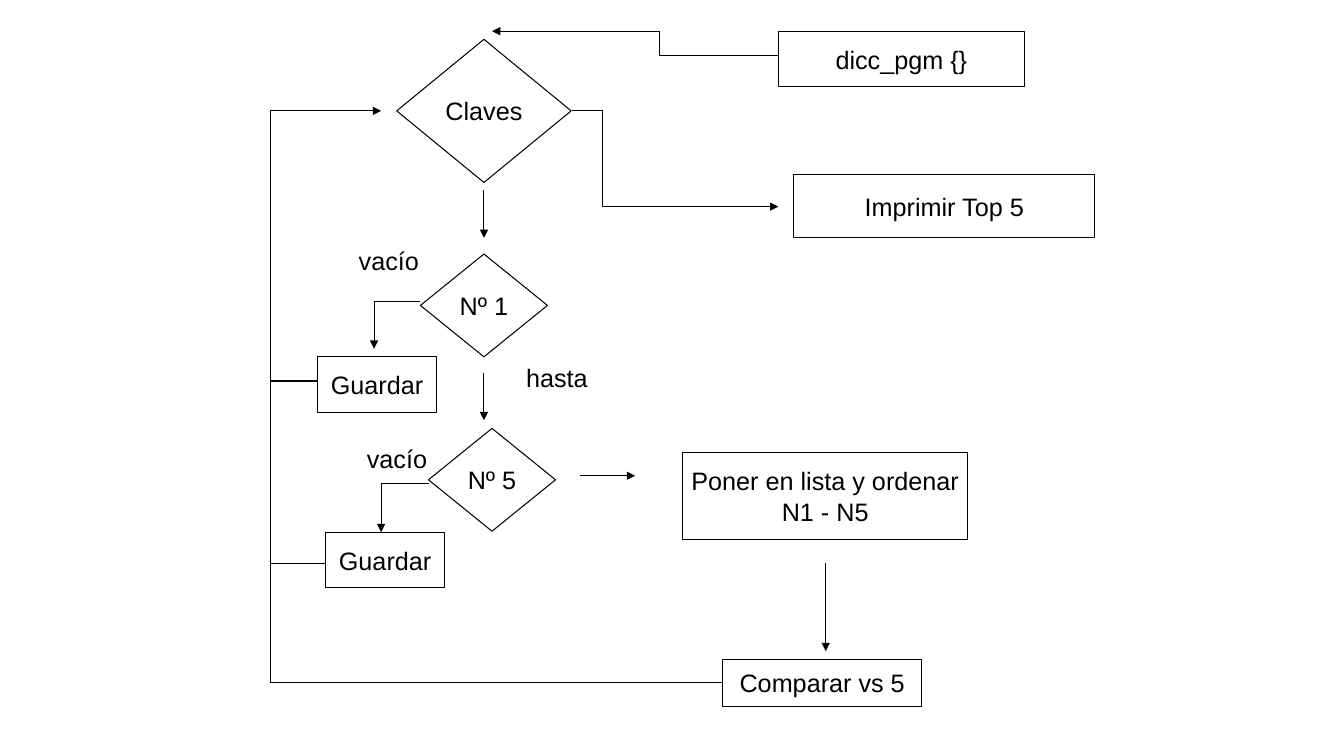
from itertools import pairwise

from lxml.etree import SubElement
from pptx import Presentation
from pptx.dml.color import RGBColor
from pptx.enum.shapes import MSO_CONNECTOR, MSO_SHAPE
from pptx.enum.text import MSO_ANCHOR, PP_ALIGN
from pptx.oxml.ns import qn
from pptx.util import Inches, Pt

BLACK = RGBColor(0, 0, 0)
WHITE = RGBColor(255, 255, 255)


class Flowchart:
    font_name = "Arial"
    font_size = Pt(18)
    line_width = Pt(0.75)

    def __init__(self, slide):
        self.slide = slide

    def add_text(self, frame, lines, alignment):
        for index, line in enumerate(lines):
            paragraph = frame.add_paragraph() if index else frame.paragraphs[0]
            paragraph.alignment = alignment
            run = paragraph.add_run()
            run.text = line
            run.font.name = self.font_name
            run.font.size = self.font_size
            run.font.color.rgb = BLACK

    def node(self, preset, left, top, width, height, lines):
        shape = self.slide.shapes.add_shape(
            preset, Inches(left), Inches(top), Inches(width), Inches(height))
        shape.shadow.inherit = False
        shape.fill.solid()
        shape.fill.fore_color.rgb = WHITE
        shape.line.color.rgb = BLACK
        shape.line.width = self.line_width
        frame = shape.text_frame
        frame.word_wrap = False
        frame.vertical_anchor = MSO_ANCHOR.MIDDLE
        self.add_text(frame, lines, PP_ALIGN.CENTER)

    def box(self, left, top, width, height, *lines):
        self.node(MSO_SHAPE.RECTANGLE, left, top, width, height, lines)

    def decision(self, center, middle, width, height, text):
        self.node(MSO_SHAPE.DIAMOND, center - width / 2, middle - height / 2,
                  width, height, [text])

    def label(self, left, top, width, text):
        textbox = self.slide.shapes.add_textbox(
            Inches(left), Inches(top), Inches(width), Inches(0.38))
        textbox.text_frame.word_wrap = True
        self.add_text(textbox.text_frame, [text], PP_ALIGN.LEFT)

    def segment(self, start, end, arrow):
        connector = self.slide.shapes.add_connector(
            MSO_CONNECTOR.STRAIGHT, *map(Inches, start + end))
        connector.line.color.rgb = BLACK
        connector.line.width = self.line_width
        properties = connector._element.spPr
        if arrow:
            SubElement(properties.find(qn("a:ln")), qn("a:tailEnd"), type="triangle")
        SubElement(properties, qn("a:effectLst"))

    def route(self, *points, arrow=True):
        for start, end in pairwise(points):
            self.segment(start, end, arrow and end == points[-1])


def main():
    presentation = Presentation()
    presentation.slide_width = Inches(13.33)
    presentation.slide_height = Inches(7.5)
    chart = Flowchart(presentation.slides.add_slide(presentation.slide_layouts[6]))

    chart.box(7.72, 0.31, 2.44, 0.55, "dicc_pgm {}")
    chart.box(7.87, 1.73, 2.99, 0.63, "Imprimir Top 5")
    chart.box(6.77, 4.49, 2.83, 0.86, "Poner en lista y ordenar", "N1 - N5")
    chart.box(7.17, 6.54, 1.97, 0.47, "Comparar vs 5")
    chart.box(3.15, 3.54, 1.18, 0.55, "Guardar")
    chart.box(3.23, 5.28, 1.18, 0.55, "Guardar")

    chart.decision(4.8, 1.1, 1.73, 1.42, "Claves")
    chart.decision(4.8, 3.03, 1.26, 1.02, "Nº 1")
    chart.decision(4.88, 4.76, 1.26, 1.02, "Nº 5")

    chart.label(3.46, 2.38, 1.1, "vacío")
    chart.label(3.54, 4.35, 1.1, "vacío")
    chart.label(5.12, 3.54, 1.26, "hasta")

    chart.route((7.72, 0.55), (6.54, 0.55), (6.54, 0.31), (4.88, 0.31))
    chart.route((5.67, 1.1), (5.98, 1.1), (5.98, 2.05), (7.72, 2.05))
    chart.route((4.8, 1.89), (4.8, 2.36))
    chart.route((4.8, 3.7), (4.8, 4.17))
    chart.route((4.17, 2.99), (3.71, 2.99), (3.71, 3.46))
    chart.route((4.25, 4.8), (3.78, 4.8), (3.78, 5.28))
    chart.route((5.75, 4.72), (6.3, 4.72))
    chart.route((8.19, 5.59), (8.19, 6.46))

    return_line = 2.68
    chart.route((7.17, 6.77), (return_line, 6.77), (return_line, 1.1), (3.78, 1.1))
    for left, middle in ((3.15, 3.78), (3.23, 5.59)):
        chart.route((left, middle), (return_line, middle), arrow=False)

    presentation.save("out.pptx")


if __name__ == "__main__":
    main()
